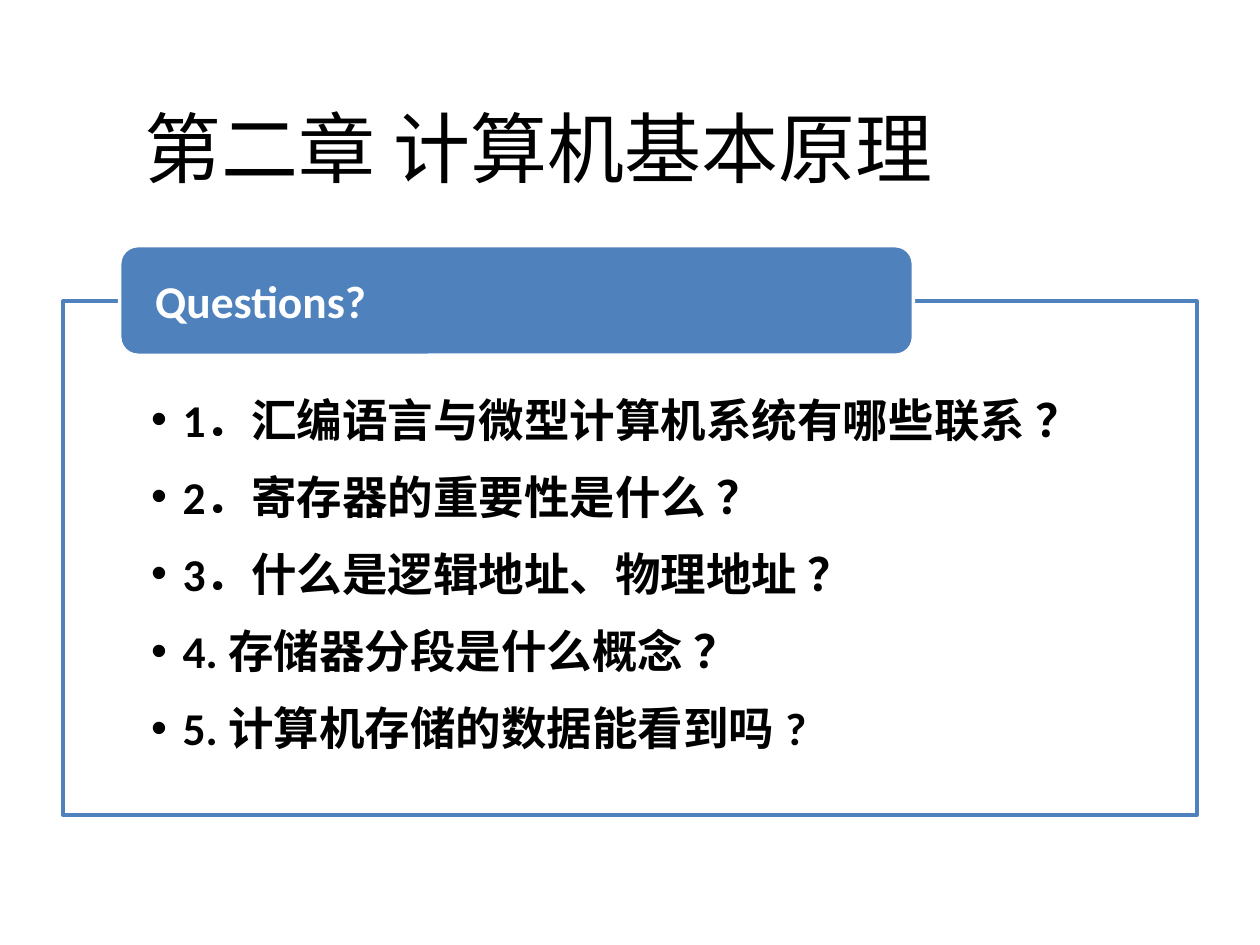
from dataclasses import dataclass

from lxml.etree import SubElement
from pptx import Presentation
from pptx.dml.color import RGBColor
from pptx.enum.shapes import MSO_SHAPE
from pptx.enum.text import MSO_ANCHOR, MSO_AUTO_SIZE, PP_ALIGN
from pptx.oxml.ns import qn
from pptx.util import Inches, Pt


@dataclass(frozen=True)
class Theme:
    accent: RGBColor = RGBColor(0x4F, 0x81, 0xBD)
    white: RGBColor = RGBColor(0xFF, 0xFF, 0xFF)
    black: RGBColor = RGBColor(0, 0, 0)
    title_font: str = "Noto Sans CJK SC"
    body_font: str = "Calibri"
    title_size: int = 44
    body_size: int = 26
    line_width: float = 2


@dataclass(frozen=True)
class Panel:
    kind: MSO_SHAPE
    box: tuple[float, float, float, float]
    insets: tuple[float, float, float, float]
    anchor: MSO_ANCHOR
    fill: RGBColor
    line: RGBColor
    color: RGBColor
    lines: list[str]
    bullets: bool = False


THEME = Theme()
TITLE = "第二章 计算机基本原理"
QUESTIONS = [
    "1．汇编语言与微型计算机系统有哪些联系 ？",
    "2．寄存器的重要性是什么 ？",
    "3．什么是逻辑地址、物理地址 ？",
    "4. 存储器分段是什么概念 ？",
    "5. 计算机存储的数据能看到吗 ?",
]
PANELS = [
    Panel(MSO_SHAPE.RECTANGLE, (0.5, 2.39, 9, 4.08), (0.7, 0.59, 0.7, 0.2),
          MSO_ANCHOR.TOP, THEME.white, THEME.accent, THEME.black, QUESTIONS, True),
    Panel(MSO_SHAPE.ROUNDED_RECTANGLE, (0.95, 1.95, 6.3, 0.87), (0.24, 0, 0.24, 0),
          MSO_ANCHOR.MIDDLE, THEME.accent, THEME.white, THEME.white, ["Questions?"]),
]


def set_frame(tf, insets, anchor) -> None:
    sides = ("margin_left", "margin_top", "margin_right", "margin_bottom")
    values = dict(zip(sides, map(Inches, insets)))
    values |= {"word_wrap": True, "auto_size": MSO_AUTO_SIZE.NONE, "vertical_anchor": anchor}
    for name, value in values.items():
        setattr(tf, name, value)


def add_run(p, text: str, font: str, size: int, color: RGBColor, bold: bool) -> None:
    """Add a run that uses one font for Latin and East Asian text."""
    r = p.add_run()
    r.text = text
    for name, value in {"name": font, "size": Pt(size), "bold": bold}.items():
        setattr(r.font, name, value)
    r.font.color.rgb = color
    ea = SubElement(r.font._element, qn("a:ea"))
    ea.set("typeface", font)


def add_bullet(p) -> None:
    """Give the paragraph a hanging bullet and the list's spacing."""
    pPr = p._p.get_or_add_pPr()
    pPr.set("marL", str(Inches(0.25)))
    pPr.set("indent", str(Inches(-0.25)))
    SubElement(pPr, qn("a:buFont")).set("typeface", "Arial")
    SubElement(pPr, qn("a:buChar")).set("char", "•")
    p.line_spacing = 1.3
    p.space_after = Pt(3.5)


def add_panel(slide, panel: Panel) -> None:
    sp = slide.shapes.add_shape(panel.kind, *map(Inches, panel.box))
    sp.shadow.inherit = False
    sp.fill.solid()
    sp.fill.fore_color.rgb = panel.fill
    sp.line.color.rgb = panel.line
    sp.line.width = Pt(THEME.line_width)
    tf = sp.text_frame
    set_frame(tf, panel.insets, panel.anchor)
    for i, text in enumerate(panel.lines):
        p = tf.add_paragraph() if i else tf.paragraphs[0]
        p.alignment = PP_ALIGN.LEFT
        if panel.bullets:
            add_bullet(p)
        add_run(p, text, THEME.body_font, THEME.body_size, panel.color, True)


def set_title(slide) -> None:
    sp = slide.shapes.title
    sp.left, sp.top, sp.width, sp.height = map(Inches, (0.5, 0.83, 9, 1.25))
    set_frame(sp.text_frame, (0.65, 0.05, 0.1, 0.05), MSO_ANCHOR.TOP)
    p = sp.text_frame.paragraphs[0]
    p.alignment = PP_ALIGN.LEFT
    p.line_spacing = 0.9
    add_run(p, TITLE, THEME.title_font, THEME.title_size, THEME.black, False)


def main() -> None:
    prs = Presentation()
    prs.slide_width, prs.slide_height = Inches(10), Inches(7.5)
    slide = prs.slides.add_slide(prs.slide_layouts[5])
    set_title(slide)
    for panel in PANELS:
        add_panel(slide, panel)
    prs.save("out.pptx")


if __name__ == "__main__":
    main()
